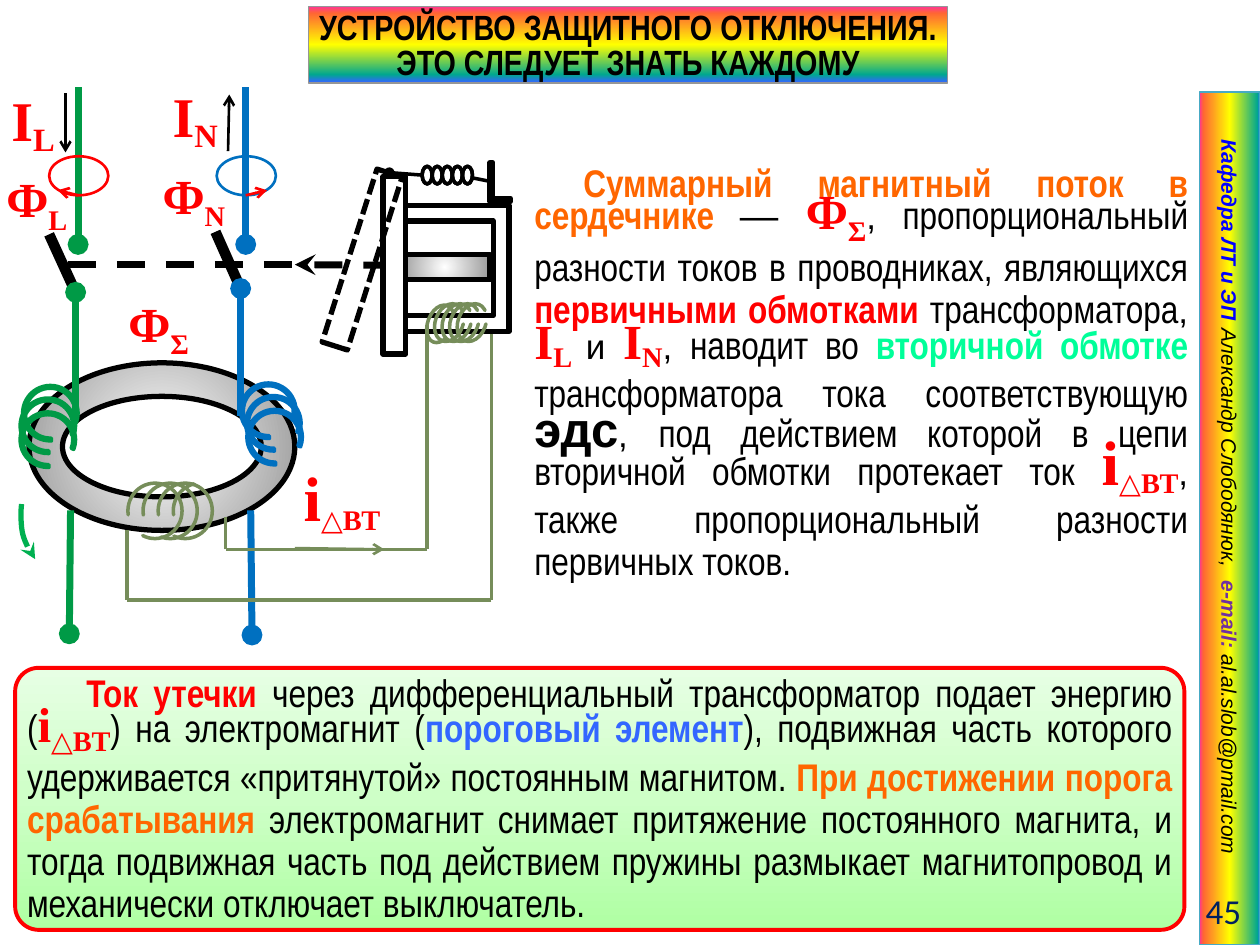
from dataclasses import dataclass
from lxml.etree import SubElement
from pptx import Presentation
from pptx.dml.color import RGBColor
from pptx.enum.dml import MSO_LINE as Dash
from pptx.enum.shapes import MSO_CONNECTOR as Wire, MSO_SHAPE as Kind
from pptx.enum.text import MSO_ANCHOR as Anchor, MSO_AUTO_SIZE as Fit, PP_ALIGN as Align
from pptx.oxml.ns import qn
from pptx.util import Inches, Pt

COLORS = {"black": "000000", "white": "FFFFFF", "red": "FF0000", "orange": "FF6600", "mint": "00FF99",
          "sky": "3366FF", "blue": "0000FF", "violet": "7030A0", "navy": "002060", "phase": "009A46",
          "neutral": "0070C0", "coil": "768D5A", "flux": "00B050", "sand": "CEB966", "gray": "969696",
          "edge": "46AAC5", "steel": "979797", "pink": "FF3399", "coral": "FF6633", "yellow": "FFFF00",
          "teal": "01A78F", "green": "AFFFA3", "light": "CEFFC7", "pale": "E7FFE4"}
RAINBOW = ["pink", "coral", "yellow", "teal", "sky"]
STEEL = {0: "white", 100: "steel"}
NARROW, SERIF, SANS = "Arial Narrow", "Times New Roman", "Arial"
INSETS = (0.1, 0.05, 0.1, 0.05)
# size, font, color, bold, italic, baseline in percent
STYLES = {
    "plain": (22, NARROW, "black", False, False, 0), "dash": (22, SANS, "black", False, False, 0),
    "small": (20, SANS, "black", False, False, 0), "space": (24, SANS, "black", False, False, 0),
    "orange": (22, NARROW, "orange", True, False, 0), "red": (22, NARROW, "red", True, False, 0),
    "mint": (22, NARROW, "mint", True, False, 0), "sky": (22, NARROW, "sky", True, False, 0),
    "emf": (28, SANS, "black", True, False, 0), "sub": (28, SERIF, "red", True, False, -18),
    "flux": (28, SERIF, "red", True, False, 0), "flux sub": (28, SERIF, "red", True, False, -25),
    "current": (32, SERIF, "red", True, False, 0), "current sub": (32, SERIF, "red", True, False, -18),
    "leak": (36, SERIF, "red", True, False, 0), "title": (20, NARROW, "black", True, False, 0),
    "page": (20, "Calibri", "navy", False, False, 0), "chair": (12, SANS, "blue", True, True, 0),
    "author": (12, SANS, "black", False, True, 0), "mail": (12, SANS, "violet", True, True, 0)}

@dataclass
class Grid:
    """A region measured in cells, each a hundredth of the slide's width."""
    left: float
    top: float
    cols: float
    rows: float
    cell: int

    def sub(self, col, row, cols, rows):
        return Grid(self.left + col, self.top + row, cols, rows, self.cell)

    def point(self, col, row):
        return round((self.left + col) * self.cell), round((self.top + row) * self.cell)

    def extent(self):
        return (*self.point(0, 0), round(self.cols * self.cell), round(self.rows * self.cell))

def rgb(name):
    return RGBColor.from_string(COLORS[name])

def paint_gradient(shape, stops, angle=None):
    """Linear gradient at the angle, or a round one when there is none."""
    shape.fill.gradient()
    grad = shape._element.spPr.find(qn("a:gradFill"))
    grad.clear()
    grad.set("rotWithShape", "1")
    stop_list = SubElement(grad, qn("a:gsLst"))
    for share, color in stops.items():
        stop = SubElement(stop_list, qn("a:gs"), pos=str(share * 1000))
        SubElement(stop, qn("a:srgbClr"), val=COLORS[color])
    if angle is None:
        center = SubElement(grad, qn("a:path"), path="circle")
        SubElement(center, qn("a:fillToRect"), dict.fromkeys("ltrb", "50000"))
    else:
        SubElement(grad, qn("a:lin"), ang=str(angle * 60000), scaled="1")

def stroke(part, color, width, dash=None, head=None, tail=None):
    part.line.color.rgb, part.line.width = rgb(color), Pt(width)
    if dash:
        part.line.dash_style = dash
    for end, arrow in (("a:headEnd", head), ("a:tailEnd", tail)):
        if arrow:
            SubElement(part.line._get_or_add_ln(), qn(end), type=arrow)

def add_part(slide, region, kind, color, width, fill=None, adj=(), turn=0, **ends):
    shape = slide.shapes.add_shape(kind, *region.extent())
    shape.shadow.inherit, shape.rotation = False, turn
    for index, value in enumerate(adj):
        shape.adjustments[index] = value
    if fill:
        shape.fill.solid()
        shape.fill.fore_color.rgb = rgb(fill)
    else:
        shape.fill.background()
    stroke(shape, color, width, **ends)
    return shape

def add_wire(slide, grid, start, end, color, width, **ends):
    wire = slide.shapes.add_connector(Wire.STRAIGHT, *grid.point(*start), *grid.point(*end))
    stroke(wire, color, width, **ends)
    SubElement(wire._element.spPr, qn("a:effectLst"))
    return wire

def add_turn(slide, region, color, start, end, thick=0, turn=0):
    """One turn of a winding, an arc between two angles in degrees."""
    add_part(slide, region, Kind.BLOCK_ARC, color, 2, adj=(start * 0.6, end * 0.6, thick), turn=turn)

def write(shape, runs, align=Align.LEFT, insets=(0, 0, 0, 0), anchor=Anchor.MIDDLE,
          wrap=True, spacing=None, indent=0, tabs=()):
    frame = shape.text_frame
    frame.auto_size, frame.word_wrap, frame.vertical_anchor = Fit.NONE, wrap, anchor
    frame.margin_left, frame.margin_top, frame.margin_right, frame.margin_bottom = map(Inches, insets)
    paragraph = frame.paragraphs[0]
    props = paragraph._p.get_or_add_pPr()
    props.set("marL", "0")
    props.set("indent", str(Inches(indent)))
    SubElement(props, qn("a:buNone"))
    if tabs:
        tab_list = SubElement(props, qn("a:tabLst"))
        for stop in tabs:
            SubElement(tab_list, qn("a:tab"), pos=str(Inches(stop)), algn="l")
    paragraph.alignment, paragraph.space_before = align, Pt(0)
    if spacing:
        paragraph.line_spacing = Pt(spacing)
    for text, style in runs:
        run = paragraph.add_run()
        run.text = text
        size, run.font.name, color, run.font.bold, run.font.italic, baseline = STYLES[style]
        run.font.size, run.font.color.rgb = Pt(size), rgb(color)
        if baseline:
            run._r.get_or_add_rPr().set("baseline", str(baseline * 1000))

def place(holder, region):
    holder.left, holder.top, holder.width, holder.height = region.extent()
    return holder

def draw_title(slide, region):
    title = place(slide.shapes.title, region)
    SubElement(SubElement(title._element.spPr, qn("a:prstGeom"), prst="roundRect"), qn("a:avLst"))
    paint_gradient(title, dict(zip((0, 9, 50, 89, 99), RAINBOW)), 90)
    stroke(title, "gray", 0.75)
    write(title, [("УСТРОЙСТВО ЗАЩИТНОГО ОТКЛЮЧЕНИЯ. ЭТО СЛЕДУЕТ ЗНАТЬ КАЖДОМУ", "title")],
          Align.CENTER, (0.04, 0.04, 0.04, 0), spacing=20)

def draw_side_bar(slide, region):
    shift = (region.cols - region.rows) / 2
    bar = add_part(slide, region.sub(shift, -shift, region.rows, region.cols), Kind.RECTANGLE,
                   "edge", 0.75, turn=90)
    paint_gradient(bar, dict(zip((0, 6, 50, 96, 100), RAINBOW)), 270)
    write(bar, [("Кафедра ЛТ и ЭП\t", "chair"), ("Александр Слободянюк,\t", "author"), ("e-mail: ", "mail"),
                ("al.al.slob@pmail.com", "author")], insets=(0.38, 0.05, 0, 0.05), tabs=(1.86, 3.84))
    number = slide.shapes.add_textbox(*region.sub(-6.6, region.rows - 4.7, 10.9, 4).extent())
    write(number, [("45", "page")], Align.RIGHT, INSETS)

def draw_relay(slide, grid):
    """Electromagnet with its armature, spring and winding."""
    add_part(slide, grid.sub(30.4, 10.3, 10, 10), Kind.FRAME, "black", 3)
    add_part(slide, grid.sub(38.9, 6.9, 1.6, 3.1), Kind.CORNER, "black", 3, "sand", (0.165, 0.13))
    paint_gradient(add_part(slide, grid.sub(31.7, 14.2, 7.2, 2), Kind.RECTANGLE, "black", 3), STEEL)
    armature = add_part(slide, grid.sub(30.4, 8, 1.8, 14.1), Kind.RECTANGLE, "black", 3, "white")
    add_part(slide, grid.sub(27.7, 7.4, 2.1, 14.4), Kind.RECTANGLE, "black", 3, turn=17.6, dash=Dash.SQUARE_DOT)
    add_wire(slide, grid, (5.4, 15), (23.4, 15), "black", 4, dash=Dash.DASH)
    pull = add_wire(slide, grid, (23.4, 15), (30.4, 15), "black", 4, dash=Dash.DASH, head="stealth")
    pull.end_connect(armature, 1)
    add_turn(slide, grid.sub(33.4, 18.7, 3.1, 2), "coil", 143.76, 26.51, turn=290.9)
    for turn in range(4):
        add_turn(slide, grid.sub(34.1 + 0.6 * turn, 18.5, 3.1, 2.2), "coil", 75.47, 26.51, turn=290.9)
    for ring in range(5):
        add_part(slide, grid.sub(33.5 + 0.8 * ring, 7.2, 0.8, 1.4), Kind.DONUT, "black", 2, adj=(0,))
    add_wire(slide, grid, (38.9, 8.4), (37.4, 8.1), "black", 2)
    add_wire(slide, grid, (33.5, 7.9), (30.9, 7.7), "black", 2, tail="oval")

def draw_pole(slide, grid, color, halo, col, joint, lever, coil, outlet, arrow, tip):
    """One conductor: feed, switch, winding on the ring and outlet."""
    add_wire(slide, grid, joint, lever, "black", 6)
    for left, top in coil:
        add_turn(slide, grid.sub(left, top, 4.4, 4.4), color, 87.72, 20.47, 0.05)
    add_wire(slide, grid, (joint[0], joint[1] + 10.1), joint, color, 4, tail="oval")
    add_wire(slide, grid, (col, 13.4), (col, 0.9), color, 4, head="oval")
    add_wire(slide, grid, *outlet, color, 4, tail="oval")
    add_wire(slide, grid, *arrow, "black", 1.5, tail="arrow")
    add_part(slide, grid.sub(col - 2.3, 6.4, 4.7, 3.1), Kind.OVAL, halo, 1.5)
    add_wire(slide, grid, (col, 9.5), (tip, 9.1), "red", 1.5, tail="arrow")

def draw_transformer(slide, grid):
    paint_gradient(add_part(slide, grid.sub(2.3, 22.8, 21.1, 13.3), Kind.DONUT, "black", 3, adj=(0.2,)), STEEL)
    draw_pole(slide, grid, "phase", "red", 6.2, (6, 17.2), (3.9, 12.6), [(1.6, 25.6), (1.8, 24.6), (1.6, 26.7)],
              ((5.6, 34.5), (5.5, 44.3)), ((5.2, 1.4), (5.2, 6.1)), 4.6)
    draw_pole(slide, grid, "neutral", "neutral", 19.5, (19.1, 16.9), (17.1, 12.4),
              [(19.6, 26.5), (19.5, 25.4), (19.1, 24.4)],
              ((19.9, 34.5), (20, 44.4)), ((18.1, 6), (18.2, 1.5)), 21.2)
    for turn, end in enumerate((26.51, 19.05, 24.19, 167.04)):
        add_turn(slide, grid.sub(10.1 + 1.2 * turn, 32.4, 4.4, 4.3), "coil", 81.5, end, turn=90)
    add_part(slide, grid.sub(0.6, 25.2, 19.6, 14), Kind.ARC, "flux", 3, adj=(108.83, 125.23),
             turn=319.5, head="stealth")

def draw_secondary_circuit(slide, grid):
    for loop in ([(33.9, 19.8), (33.9, 37.6), (17.9, 37.6), (17.9, 35)],
                 [(39, 20.5), (39, 41.6), (10.1, 41.6), (10.1, 36.1)]):
        for start, end in zip(loop, loop[1:]):
            add_wire(slide, grid, start, end, "coil", 2)
    add_wire(slide, grid, (23.4, 37.5), (30.5, 37.6), "coil", 1.5, tail="arrow")

def draw_symbols(slide, grid):
    for col, row, letter, style, index, index_style in (
            (0.9, 0.8, "I", "current", "L", "current sub"), (13.7, 0.5, "I", "current", "N", "current sub"),
            (10.2, 17.3, "Ф", "flux", "Σ", "flux sub"), (0.5, 7.4, "Ф", "flux", "L", "flux sub"),
            (12.9, 7.1, "Ф", "flux", "N", "flux sub"), (24.1, 30.4, "i", "leak", "△ВТ", "sub")):
        symbol = slide.shapes.add_textbox(*grid.sub(col, row, 5, 5).extent())
        write(symbol, [(letter, style), (index, index_style)], anchor=Anchor.TOP, wrap=False)

def draw_explanation(slide, region):
    write(place(slide.placeholders[1], region), [
        ("Суммарный магнитный поток в сердечнике ", "orange"), ("— ", "dash"), ("Ф", "flux"), ("Σ", "flux sub"),
        (", ", "small"), ("пропорциональный разности токов в проводниках, являющихся ", "plain"),
        ("первичными обмотками ", "red"), ("трансформатора", "plain"), (",", "small"), (" ", "space"),
        ("I", "flux"), ("L ", "sub"), ("и ", "small"), ("I", "flux"), ("N", "sub"), (", ", "small"),
        ("наводит во ", "plain"), ("вторичной обмотке ", "mint"), ("трансформатора тока соответствующую ", "plain"),
        ("эдс", "emf"), (", ", "small"), ("под действием которой в цепи вторичной обмотки протекает ток ", "plain"),
        ("i", "leak"), ("△ВТ", "sub"), (", ", "small"), ("также пропорциональный разности первичных токов.", "plain"),
    ], Align.JUSTIFY, INSETS, spacing=24, indent=0.39)

def draw_conclusion(slide, region):
    panel = add_part(slide, region, Kind.ROUNDED_RECTANGLE, "red", 2.25, adj=(0.09,))
    paint_gradient(panel, {0: "green", 50: "light", 100: "pale"}, 270)
    write(panel, [
        ("Ток утечки ", "red"), ("через дифференциальный трансформатор подает энергию (", "plain"), ("i", "flux"),
        ("△ВТ", "sub"), (") на электромагнит (", "plain"), ("пороговый элемент", "sky"),
        ("), подвижная часть которого удерживается «притянутой» постоянным магнитом. ", "plain"),
        ("При достижении порога срабатывания ", "orange"),
        ("электромагнит снимает притяжение постоянного магнита, и тогда подвижная часть под действием "
         "пружины размыкает магнитопровод и механически отключает выключатель.", "plain"),
    ], Align.JUSTIFY, (0.04,) * 4, spacing=24, indent=0.47)

deck = Presentation()
deck.slide_width, deck.slide_height = Inches(10), Inches(7.5)
lesson = deck.slides.add_slide(deck.slide_layouts[1])
page = Grid(0, 0, 100, 75, deck.slide_width // 100)
draw_side_bar(lesson, page.sub(95.2, 7.3, 4.8, 67.7))
for draw in (draw_transformer, draw_relay, draw_secondary_circuit, draw_symbols):
    draw(lesson, page.sub(0, 6, 41, 45))
draw_explanation(lesson, page.sub(41.4, 12.3, 53.9, 34.7))
draw_title(lesson, page.sub(24.5, 0.5, 50.7, 6.1))
draw_conclusion(lesson, page.sub(1.2, 53, 92.8, 20.8))
deck.save("out.pptx")
